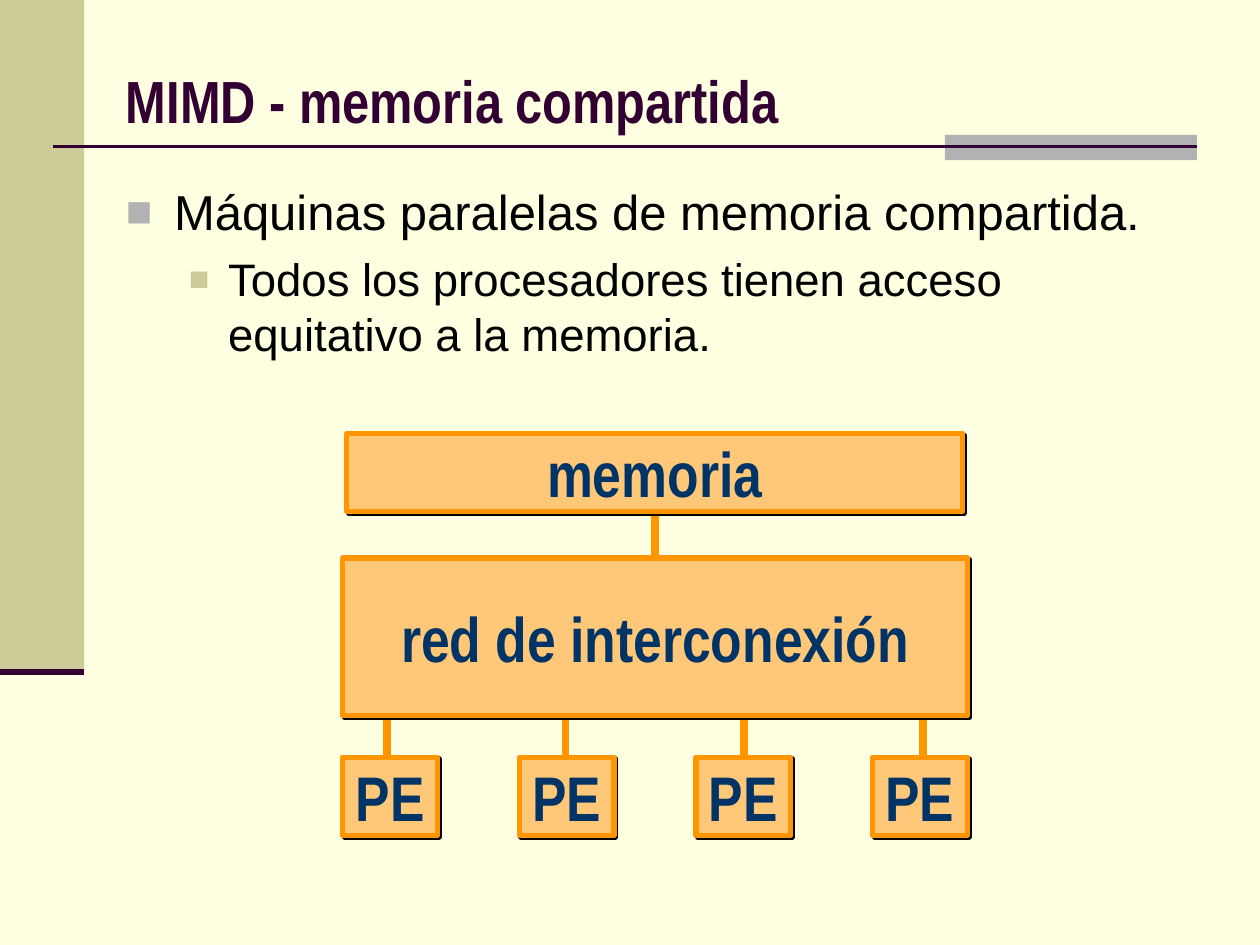
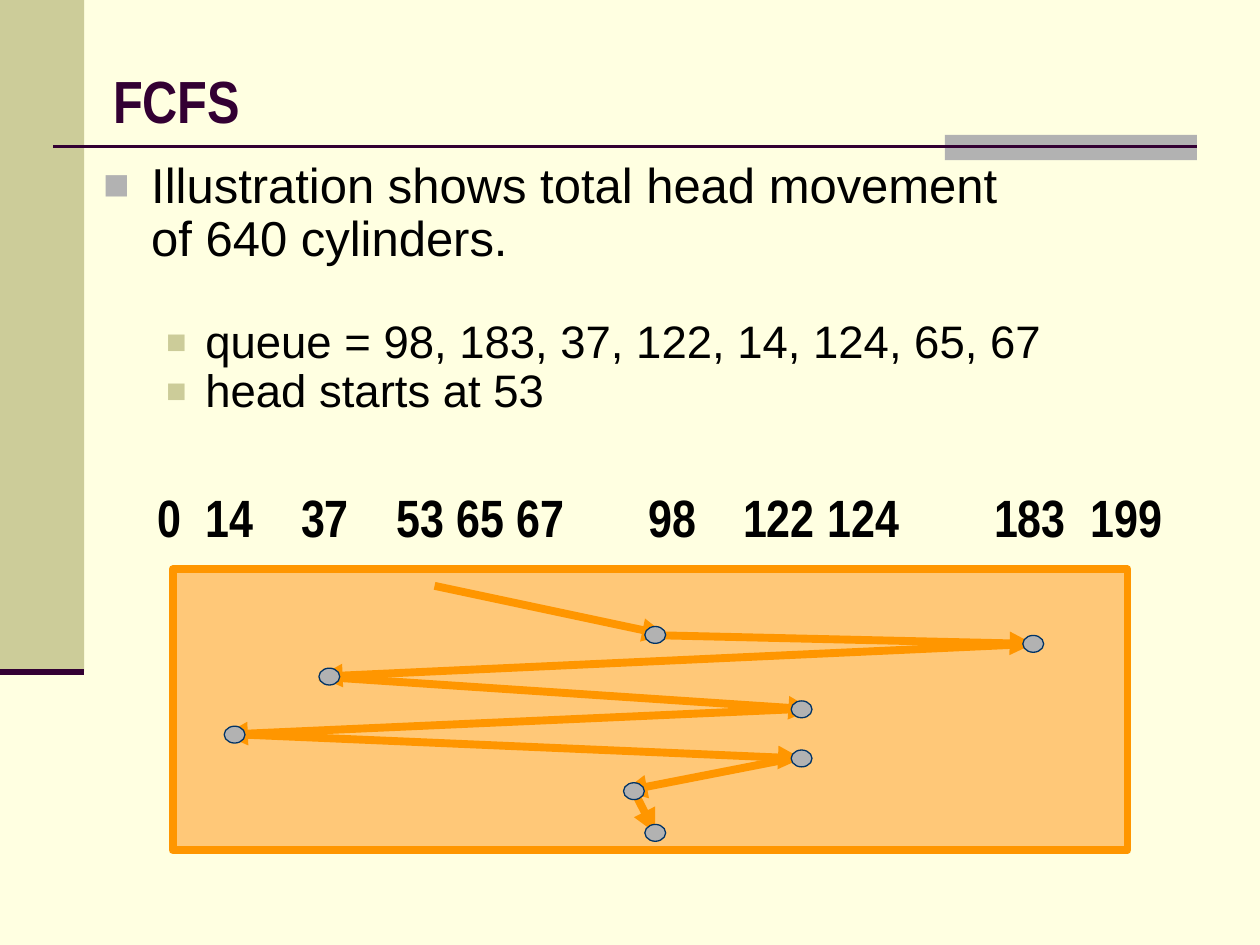
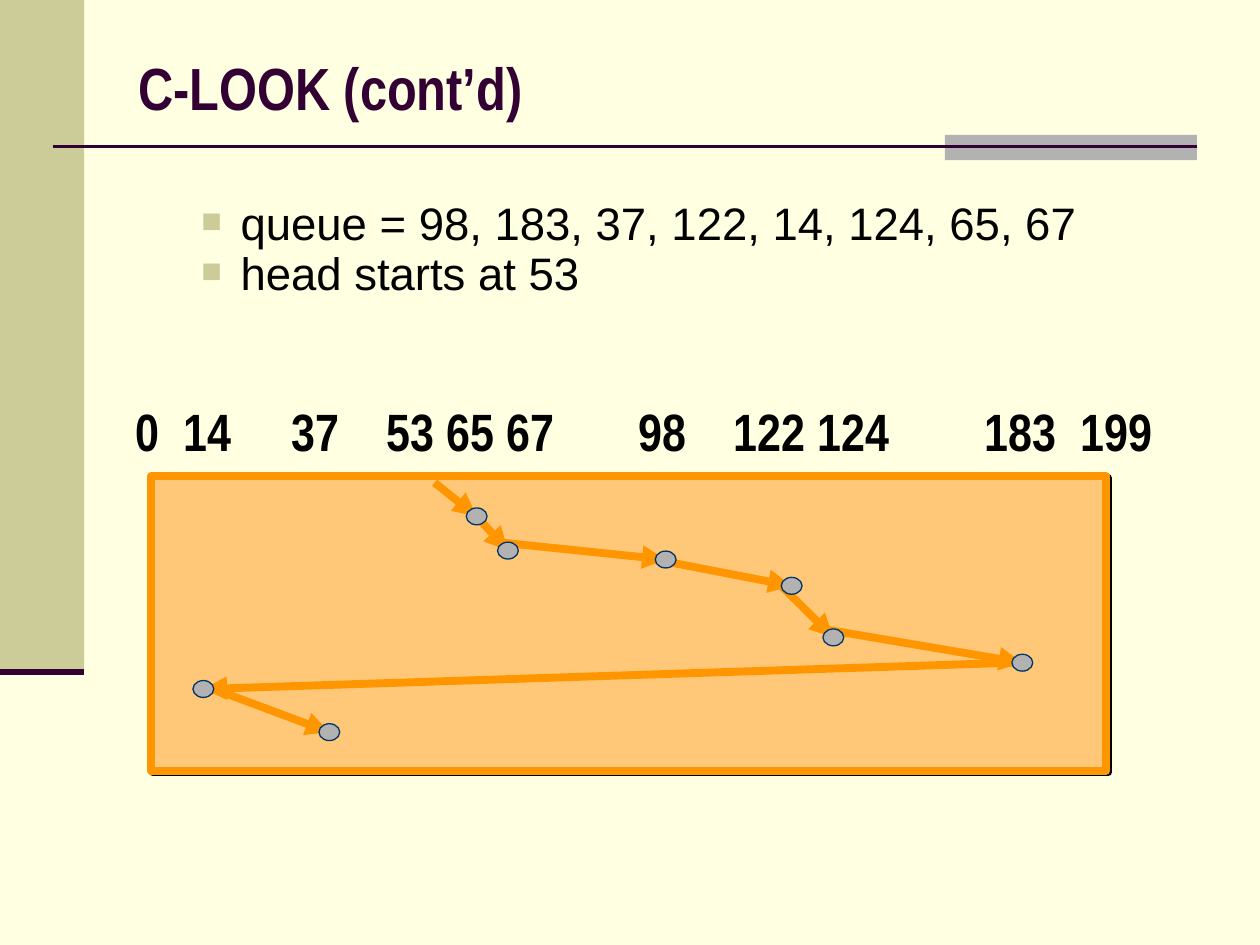
from lxml.etree import SubElement
from pptx import Presentation
from pptx.dml.color import RGBColor
from pptx.enum.shapes import MSO_CONNECTOR as Link, MSO_SHAPE as Kind
from pptx.enum.text import MSO_ANCHOR as Anchor, PP_ALIGN as Align
from pptx.oxml.ns import qn
from pptx.util import Cm, Pt

CREAM = RGBColor(0xFF, 0xFF, 0xE1)
OLIVE = RGBColor(0xCC, 0xCC, 0x99)
GREY = RGBColor(0xB2, 0xB2, 0xB2)
PLUM = RGBColor(0x33, 0x00, 0x33)
NAVY = RGBColor(0x00, 0x33, 0x66)
PEACH = RGBColor(0xFF, 0xC8, 0x78)
ORANGE = RGBColor(0xFF, 0x96, 0x00)
BLACK = RGBColor(0x00, 0x00, 0x00)
BODY_FONT = "Arial"
HEAD_FONT = "Arial Narrow"


def add_box(page, kind, place, fill, line=None, width=0, shadow=False):
    box = page.shapes.add_shape(kind, *[Cm(length) for length in place])
    box.fill.solid()
    box.fill.fore_color.rgb = fill
    box.shadow.inherit = False
    if line is None:
        box.line.fill.background()
    else:
        box.line.color.rgb = line
        box.line.width = Pt(width)
    if shadow:
        effects = box.element.spPr.find(qn("a:effectLst"))
        outer = SubElement(effects, qn("a:outerShdw"), dist=str(Pt(1.4)), dir="2700000")
        SubElement(outer, qn("a:srgbClr"), val=str(BLACK))
    return box


def add_line(page, start, end, color, width, arrow=False):
    line = page.shapes.add_connector(Link.STRAIGHT, *[Cm(length) for length in start + end])
    line.line.color.rgb = color
    line.line.width = Pt(width)
    if arrow:
        SubElement(line.line._get_or_add_ln(), qn("a:tailEnd"), type="triangle")
    SubElement(line.element.spPr, qn("a:effectLst"))


deck = Presentation()
deck.slide_width = Cm(25.4)
deck.slide_height = Cm(19.05)
background = deck.slide_master.background.fill
background.solid()
background.fore_color.rgb = CREAM

queue_items = ["queue = 98, 183, 37, 122, 14, 124, 65, 67", "head starts at 53"]
levels = [
    {"size": 28, "left": 0.97, "hang": 0.97, "bullet": GREY, "percent": 90},
    {"size": 26, "left": 2.06, "hang": 0.79, "bullet": OLIVE, "percent": 75},
]
outlines = [
    ("MIMD - memoria compartida", (2.29, 0.91, 21.44, 2.21), (2.29, 3.53, 21.59, 5), 1, [
        (0, 0, "Máquinas paralelas de memoria compartida."),
        (1, 6.5, "Todos los procesadores tienen acceso equitativo a la memoria."),
    ]),
    ("FCFS", (2.03, 1.12, 22.86, 1.8), (1.83, 3.12, 19.48, 5.44), 0.9, [
        (0, 0, "Illustration shows total head movement\nof 640 cylinders."),
        (1, 30, queue_items[0]),
        (1, 0, queue_items[1]),
    ]),
    ("C-LOOK (cont’d)", (2.54, 0.76, 21.59, 1.96), (2.54, 4.11, 19.48, 2.24), 0.7, [
        (1, 0, queue_items[0]),
        (1, 6.5, queue_items[1]),
    ]),
]

pages = []
for title, title_place, body_place, spacing, items in outlines:
    page = deck.slides.add_slide(deck.slide_layouts[6])
    pages.append(page)
    add_box(page, Kind.RECTANGLE, (0, 0, 1.7, 13.54), OLIVE)
    add_box(page, Kind.RECTANGLE, (19.05, 2.72, 5.08, 0.51), GREY)
    add_line(page, (1.07, 2.95), (24.13, 2.95), PLUM, 1.5)
    add_line(page, (0, 13.54), (1.7, 13.54), PLUM, 3.5)

    frame = page.shapes.add_textbox(*[Cm(length) for length in title_place]).text_frame
    frame.word_wrap = True
    frame.vertical_anchor = Anchor.MIDDLE
    span = frame.paragraphs[0].add_run()
    span.text = title
    span.font.name = HEAD_FONT
    span.font.size = Pt(34)
    span.font.bold = True
    span.font.color.rgb = PLUM

    frame = page.shapes.add_textbox(*[Cm(length) for length in body_place]).text_frame
    frame.word_wrap = True
    for number, (depth, before, text) in enumerate(items):
        para = frame.add_paragraph() if number else frame.paragraphs[0]
        level = levels[depth]
        para.level = depth
        para.line_spacing = spacing
        para.space_before = Pt(before)
        props = para._p.get_or_add_pPr()
        props.set("marL", str(Cm(level["left"])))
        props.set("indent", str(-Cm(level["hang"])))
        tint = SubElement(props, qn("a:buClr"))
        SubElement(tint, qn("a:srgbClr"), val=str(level["bullet"]))
        SubElement(props, qn("a:buSzPct"), val=str(level["percent"] * 1000))
        SubElement(props, qn("a:buFont"), typeface=BODY_FONT)
        SubElement(props, qn("a:buChar"), char="■")
        for row, piece in enumerate(text.split("\n")):
            if row:
                para.add_line_break()
            span = para.add_run()
            span.text = piece
            span.font.name = BODY_FONT
            span.font.size = Pt(level["size"])
            span.font.color.rgb = BLACK

memory_page, fcfs_page, clook_page = pages

add_line(memory_page, (13.21, 10.34), (13.21, 11.2), ORANGE, 4.5)
for column in range(4):
    stem = 7.8 + 3.6 * column
    add_line(memory_page, (stem, 14.4), (stem, 15.44), ORANGE, 4.5)
blocks = [
    ("memoria", (6.99, 8.74, 12.42, 1.57)),
    ("red de interconexión", (6.91, 11.25, 12.6, 3.18)),
]
blocks += [("PE", (6.91 + 3.56 * column, 15.27, 1.91, 1.57)) for column in range(4)]
for text, place in blocks:
    box = add_box(memory_page, Kind.RECTANGLE, place, PEACH, ORANGE, 3, shadow=True)
    frame = box.text_frame
    frame.word_wrap = False
    frame.vertical_anchor = Anchor.MIDDLE
    para = frame.paragraphs[0]
    para.alignment = Align.CENTER
    span = para.add_run()
    span.text = text
    span.font.name = HEAD_FONT
    span.font.size = Pt(36)
    span.font.bold = True
    span.font.color.rgb = NAVY

cylinders = ["0", "14", "37", "53", "65", "67", "98", "122", "124", "183", "199"]
tab_stops = [0.97, 2.9, 4.82, 6.03, 7.24, 9.9, 11.81, 13.51, 16.87, 18.81]
DOT_WIDTH, DOT_HEIGHT = 0.42, 0.34

# fields of a stop: left, middle, arrive offset, leave offset, leave rise
seeks = [
    (fcfs_page, (2.92, 9.65, 21.2, 1.52), 0, (3.48, 11.48, 19.25, 5.66), False, (8.76, 11.81), [
        (13, 12.8, 0.42, 0, 0),
        (20.62, 12.98, 0.21, 0.21, 0),
        (6.43, 13.64, 0, 0, 0),
        (15.95, 14.3, 0.42, 0, 0),
        (4.52, 14.81, 0, 0.42, 0),
        (15.95, 15.29, 0.21, 0, 0),
        (12.57, 15.95, 0, 0.21, 0),
        (13, 16.79, 0.21, 0, 0),
    ]),
    (clook_page, (2.49, 7.92, 21.4, 1.52), 0.24, (3.05, 9.6, 19.25, 5.94), True, (8.76, 9.73), [
        (9.4, 10.41, 0.21, 0.21, 0),
        (10.03, 11.1, 0.21, 0, 0.17),
        (13.21, 11.28, 0.21, 0, 0),
        (15.75, 11.81, 0.21, 0, 0),
        (16.59, 12.85, 0.21, 0, 0.17),
        (20.4, 13.36, 0.21, 0, 0),
        (3.89, 13.89, 0.21, 0.42, 0),
        (6.43, 14.76, 0.21, 0, 0),
    ]),
]
for page, scale_place, shift, panel_place, shadow, head, stops in seeks:
    frame = page.shapes.add_textbox(*[Cm(length) for length in scale_place]).text_frame
    frame.word_wrap = True
    para = frame.paragraphs[0]
    tabs = SubElement(para._p.get_or_add_pPr(), qn("a:tabLst"))
    for number, position in enumerate(tab_stops):
        offset = shift if number else 0
        SubElement(tabs, qn("a:tab"), pos=str(Cm(position + offset)), algn="l")
    span = para.add_run()
    span.text = "\t".join(cylinders)
    span.font.name = HEAD_FONT
    span.font.size = Pt(30)
    span.font.bold = True
    span.font.color.rgb = BLACK

    add_box(page, Kind.RECTANGLE, panel_place, PEACH, ORANGE, 4.5, shadow)
    for left, middle, arrive, leave, rise in stops:
        add_line(page, head, (left + arrive, middle), ORANGE, 4.5, arrow=True)
        head = (left + leave, middle - rise)
    for left, middle, *_ in stops:
        dot_place = (left, middle - DOT_HEIGHT / 2, DOT_WIDTH, DOT_HEIGHT)
        add_box(page, Kind.OVAL, dot_place, GREY, NAVY, 0.75)

deck.save("out.pptx")
